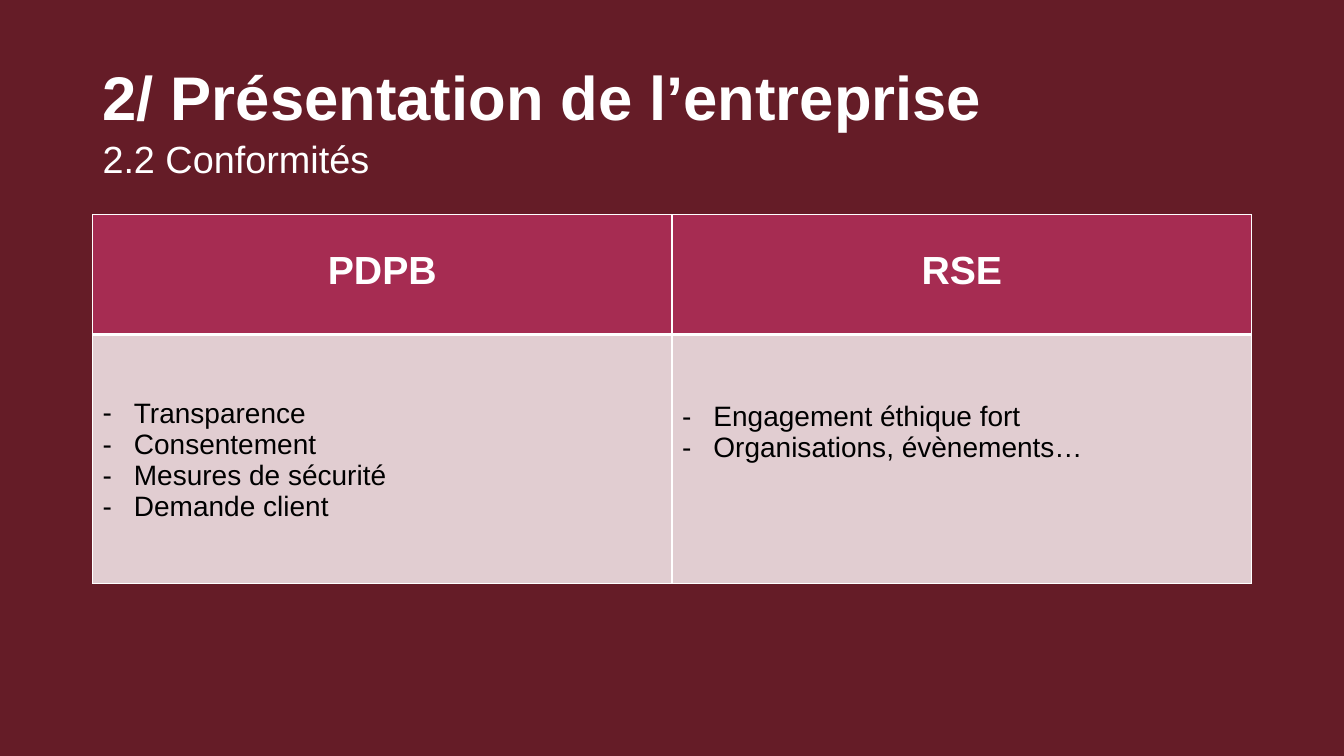
"""Build the compliance slide: a title with subtitle above a two-column table."""
from dataclasses import dataclass

from lxml.etree import SubElement
from pptx import Presentation
from pptx.dml.color import RGBColor
from pptx.enum.text import MSO_ANCHOR as Anchor, PP_ALIGN as Align
from pptx.oxml.ns import qn
from pptx.slide import Slide
from pptx.table import _Cell as Cell
from pptx.text.text import _Paragraph as Paragraph
from pptx.util import Cm, Length, Pt

BURGUNDY = RGBColor(0x65, 0x1C, 0x27)
RASPBERRY = RGBColor(0xA6, 0x2C, 0x52)
PALE_PINK = RGBColor(0xE1, 0xCD, 0xD1)
WHITE = RGBColor(0xFF, 0xFF, 0xFF)
BLACK = RGBColor(0x00, 0x00, 0x00)
FONT = "Arial"
LEFT, WIDTH = Cm(2.33), Cm(29.21)
HEADER_HEIGHT, BODY_HEIGHT = Cm(3.02), Cm(6.27)
HEADER_MARGIN = Cm(0.86)
BULLET_INDENT = Cm(0.79)


@dataclass(frozen=True)
class Topic:
    """A table column: its heading, its points and the space above them."""

    heading: str
    points: tuple[str, ...]
    top_margin: Length


TOPICS = (
    Topic("PDPB", ("Transparence", "Consentement", "Mesures de sécurité", "Demande client"), Cm(1.59)),
    Topic("RSE", ("Engagement éthique fort", "Organisations, évènements…"), Cm(1.67)),
)


def write(paragraph: Paragraph, text: str, *, size: float, color: RGBColor = WHITE,
          bold: bool = False, align: Align = Align.LEFT) -> None:
    """Append a formatted run to a paragraph."""
    paragraph.alignment = align
    run = paragraph.add_run()
    run.text = text
    run.font.name = FONT
    run.font.size = Pt(size)
    run.font.bold = bold
    run.font.color.rgb = color


def add_dash(paragraph: Paragraph) -> None:
    """Give a paragraph a hanging dash bullet."""
    properties = paragraph._p.get_or_add_pPr()
    properties.set("marL", str(BULLET_INDENT))
    properties.set("indent", str(-BULLET_INDENT))
    SubElement(properties, qn("a:buFont")).set("typeface", FONT)
    SubElement(properties, qn("a:buChar")).set("char", "-")


def style_cell(cell: Cell, fill: RGBColor, top_margin: Length, *,
               top_line: float = 1, bottom_line: float = 1) -> None:
    """Set a cell's white borders, fill and top margin."""
    properties = cell._tc.get_or_add_tcPr()
    for side, width in (("L", 1), ("R", 1), ("T", top_line), ("B", bottom_line)):
        line = SubElement(properties, qn(f"a:ln{side}"))
        line.set("w", str(Pt(width)))
        line_fill = SubElement(line, qn("a:solidFill"))
        SubElement(line_fill, qn("a:srgbClr")).set("val", str(WHITE))
    cell.fill.solid()
    cell.fill.fore_color.rgb = fill
    cell.vertical_anchor = Anchor.TOP
    cell.margin_top = top_margin


def add_title(slide: Slide) -> None:
    """Place the title and the lighter line below it."""
    title = slide.shapes.title
    title.left, title.top, title.width, title.height = LEFT, Cm(1.01), WIDTH, Cm(3.68)
    frame = title.text_frame
    frame.word_wrap = True
    frame.vertical_anchor = Anchor.MIDDLE
    frame.margin_top = Cm(0.38)
    paragraph = frame.paragraphs[0]
    paragraph.line_spacing = 1.06
    write(paragraph, "2/ Présentation de l’entreprise", size=44, bold=True)
    paragraph.add_line_break()
    write(paragraph, "2.2 Conformités", size=27)


def add_topics(slide: Slide) -> None:
    """Draw one table column per topic."""
    frame = slide.shapes.add_table(2, len(TOPICS), LEFT, Cm(5.41), WIDTH, HEADER_HEIGHT + BODY_HEIGHT)
    table = frame.table
    table.horz_banding = False
    table.rows[0].height, table.rows[1].height = HEADER_HEIGHT, BODY_HEIGHT
    for column, topic in enumerate(TOPICS):
        header, body = table.cell(0, column), table.cell(1, column)
        style_cell(header, RASPBERRY, HEADER_MARGIN, bottom_line=3)
        write(header.text_frame.paragraphs[0], topic.heading, size=28, bold=True, align=Align.CENTER)
        style_cell(body, PALE_PINK, topic.top_margin, top_line=3)
        for index, point in enumerate(topic.points):
            text = body.text_frame
            paragraph = text.add_paragraph() if index else text.paragraphs[0]
            add_dash(paragraph)
            write(paragraph, point, size=20, color=BLACK)


def main() -> None:
    """Create and save the presentation."""
    presentation = Presentation()
    presentation.slide_width, presentation.slide_height = Cm(33.87), Cm(19.05)
    slide = presentation.slides.add_slide(presentation.slide_layouts[5])
    slide.background.fill.solid()
    slide.background.fill.fore_color.rgb = BURGUNDY
    add_title(slide)
    add_topics(slide)
    presentation.save("out.pptx")


if __name__ == "__main__":
    main()
